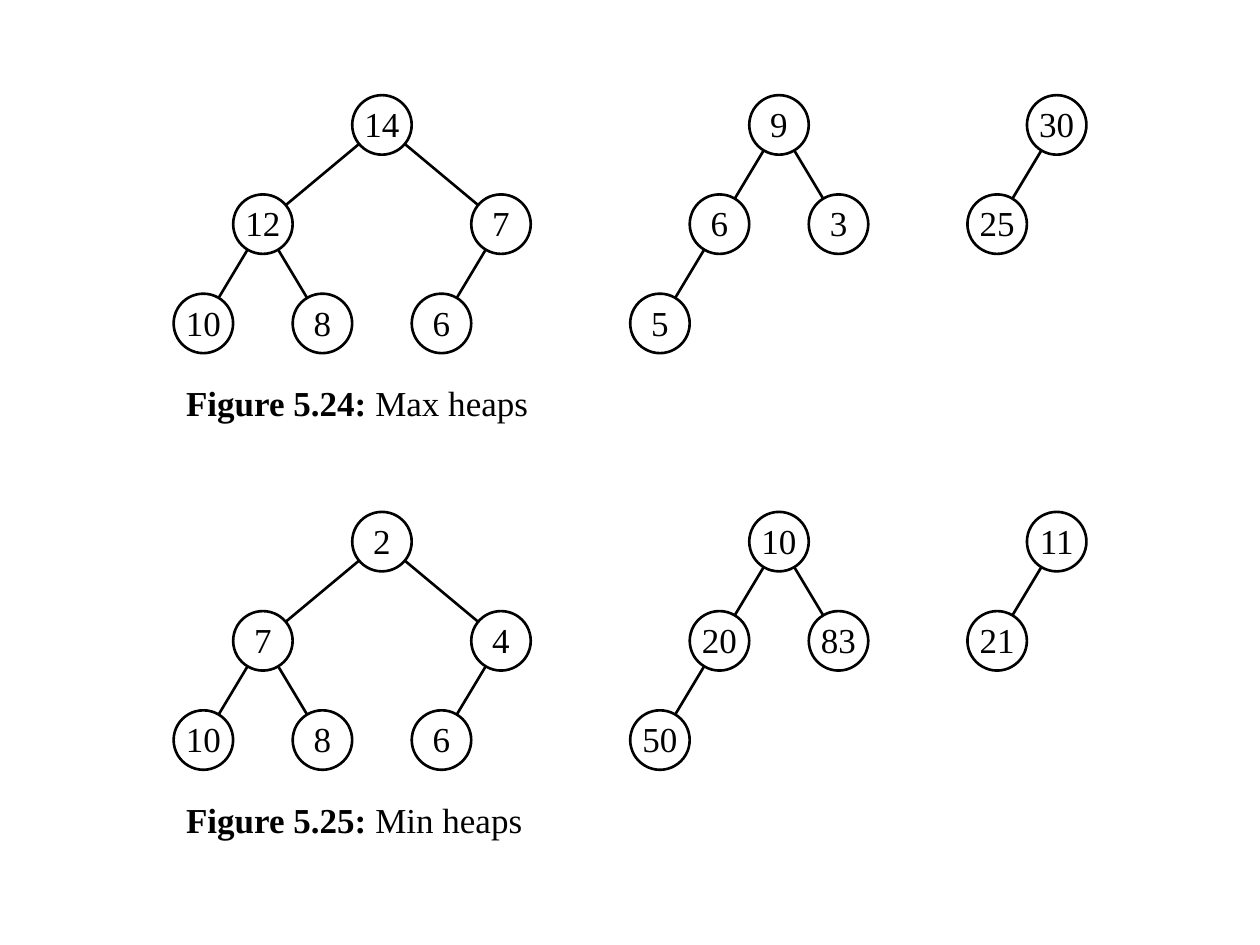
import pptx
import pptx.util
import pptx.dml.color
import pptx.enum.shapes
import pptx.enum.text
import pptx.oxml.xmlchemy
from dataclasses import dataclass

Pt = pptx.util.Pt
Anchor = pptx.enum.text.MSO_ANCHOR
Align = pptx.enum.text.PP_ALIGN

FORMS = [
    (116.2, [(3, 0, None), (1, 1, 0), (5, 1, 0), (0, 2, 1), (2, 2, 1), (4, 2, 2)]),
    (377.1, [(2, 0, None), (1, 1, 0), (3, 1, 0), (0, 2, 1)]),
    (569.8, [(1, 0, None), (0, 1, 0)]),
]
FIGURES = [
    ("Figure 5.24:", " Max heaps", [(14, 12, 7, 10, 8, 6), (9, 6, 3, 5), (30, 25)]),
    ("Figure 5.25:", " Min heaps", [(2, 7, 4, 10, 8, 6), (10, 20, 83, 50), (11, 21)]),
]


@dataclass(frozen=True)
class Theme:
    ink: str = "000000"
    paper: str = "FFFFFF"
    font: str = "Times New Roman"
    size: float = 20
    line: float = 1.5


THEME = Theme()
SIZE = 34
STEP = 34.02
DROP = 56.7
TOP = 71.4
GAP = 238.1


def color(code):
    return pptx.dml.color.RGBColor.from_string(code)


def write(shape, *runs, align=Align.LEFT, anchor=Anchor.MIDDLE, inset=(7.2, 3.6, 7.2, 3.6)):
    frame = shape.text_frame
    frame.word_wrap = True
    frame.vertical_anchor = anchor
    frame.margin_left, frame.margin_top, frame.margin_right, frame.margin_bottom = map(Pt, inset)
    para = frame.paragraphs[0]
    para.alignment = align
    for text, bold in runs:
        run = para.add_run()
        run.text = text
        run.font.name = THEME.font
        run.font.size = Pt(THEME.size)
        run.font.bold = bold
        run.font.color.rgb = color(THEME.ink)


def outline(shape):
    shape.line.color.rgb = color(THEME.ink)
    shape.line.width = Pt(THEME.line)


def edge(shapes, start, end):
    kind = pptx.enum.shapes.MSO_CONNECTOR.STRAIGHT
    link = shapes.add_connector(kind, *map(Pt, start + end))
    outline(link)
    props = link.line._get_or_add_ln().getparent()
    props.append(pptx.oxml.xmlchemy.OxmlElement("a:effectLst"))


def node(shapes, spot, value):
    x, y = spot
    kind = pptx.enum.shapes.MSO_SHAPE.OVAL
    oval = shapes.add_shape(kind, Pt(x - SIZE / 2), Pt(y - SIZE / 2), Pt(SIZE), Pt(SIZE))
    oval.shadow.inherit = False
    oval.fill.solid()
    oval.fill.fore_color.rgb = color(THEME.paper)
    outline(oval)
    write(oval, (str(value), False), align=Align.CENTER, anchor=Anchor.BOTTOM, inset=(0, 0, 0, 0.7))


def tree(shapes, left, top, form, values):
    spots = [(left + col * STEP, top + row * DROP) for col, row, _ in form]
    for spot, (_, _, parent) in zip(spots, form):
        if parent is not None:
            edge(shapes, spots[parent], spot)
    for spot, value in zip(spots, values):
        node(shapes, spot, value)


def main():
    """Draw two captioned rows of heaps and save the slide."""
    deck = pptx.Presentation()
    deck.slide_width, deck.slide_height = Pt(720), Pt(540)
    shapes = deck.slides.add_slide(deck.slide_layouts[6]).shapes
    for index, (label, title, heaps) in enumerate(FIGURES):
        top = TOP + index * GAP
        for (left, form), values in zip(FORMS, heaps):
            tree(shapes, left, top, form, values)
        box = shapes.add_textbox(Pt(99.2), Pt(top + 141.8), Pt(215.3), Pt(SIZE))
        write(box, (label, True), (title, False))
    deck.save("out.pptx")


if __name__ == "__main__":
    main()
